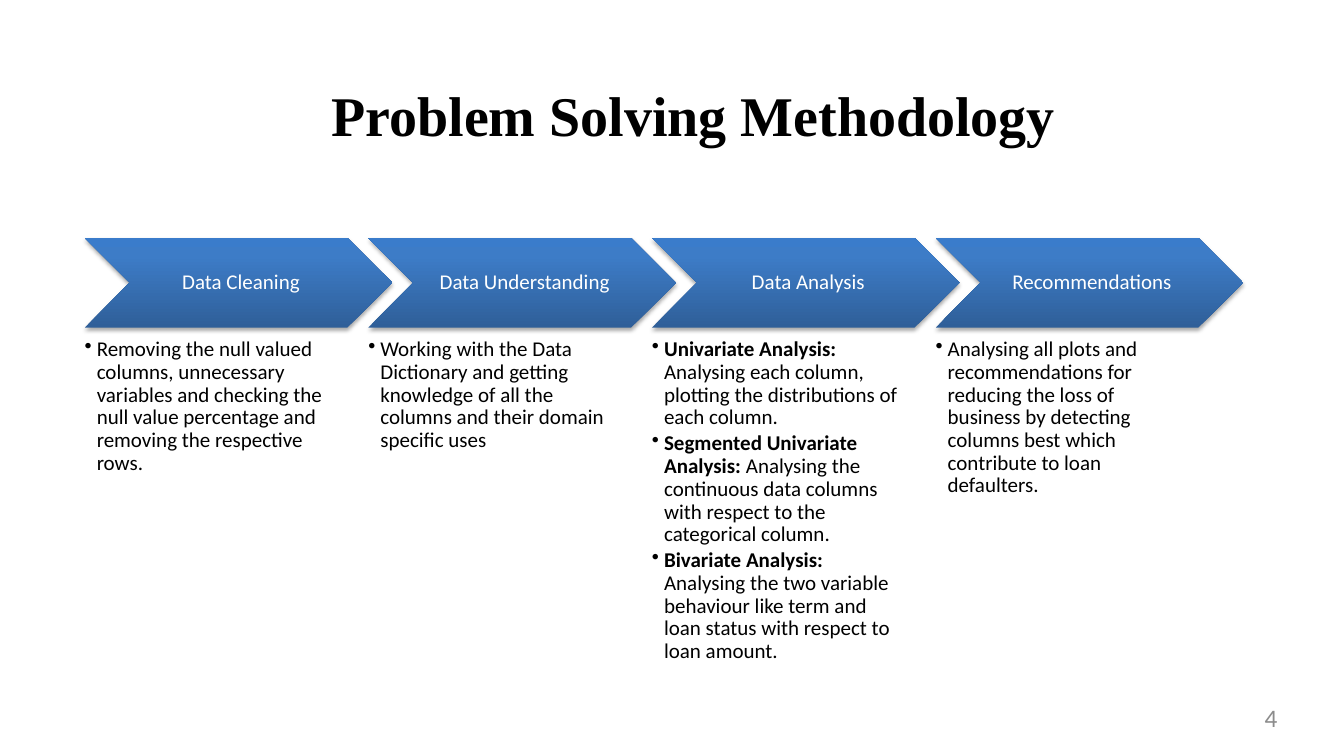
"""Build the problem solving methodology slide."""
from lxml import etree
from pptx import Presentation
from pptx import util as u
from pptx.dml.color import RGBColor
from pptx.enum import shapes, text
from pptx.oxml import ns

COLORS = {"black": "000000", "white": "FFFFFF", "number": "8C8C8C",
          "low": "2F5F99", "mid": "3D7CC7", "high": "3A7CCB"}
STEPS = [
    ("Data Cleaning", [("", "Removing the null valued columns, unnecessary variables and checking "
                            "the null value percentage and removing the respective rows.")]),
    ("Data Understanding", [("", "Working with the Data Dictionary and getting knowledge of all the "
                                 "columns and their domain specific uses")]),
    ("Data Analysis", [
        ("Univariate Analysis: ", "Analysing each column, plotting the distributions of each column."),
        ("Segmented Univariate Analysis: ", "Analysing the continuous data columns with respect to "
                                            "the categorical column."),
        ("Bivariate Analysis: ", "Analysing the two variable behaviour like term and loan status "
                                 "with respect to loan amount.")]),
    ("Recommendations", [("", "Analysing all plots and recommendations for reducing the loss of "
                              "business by detecting columns best which contribute to loan defaulters.")]),
]


def add_xml(parent, tag, **attrs):
    """Append a DrawingML element and return it."""
    return etree.SubElement(parent, ns.qn(tag), {k: str(v) for k, v in attrs.items()})


def set_frame(sp, insets=(0, 0, 0, 0), anchor=text.MSO_ANCHOR.TOP):
    """Set wrapping, insets and anchor, and return the text frame."""
    tf = sp.text_frame
    tf.word_wrap = True
    tf.auto_size = text.MSO_AUTO_SIZE.NONE
    tf.vertical_anchor = anchor
    tf.margin_left, tf.margin_top, tf.margin_right, tf.margin_bottom = map(u.Inches, insets)
    return tf


def add_run(p, words, size=15, color="black", font="Calibri", bold=False):
    """Add a formatted run to a paragraph."""
    r = p.add_run()
    r.text = words
    r.font.size = u.Pt(size)
    r.font.name = font
    r.font.bold = bold
    r.font.color.rgb = RGBColor.from_string(COLORS[color])


def add_title(slide, left, top, width, height):
    """Place and format the title placeholder."""
    sp = slide.shapes.title
    sp.left, sp.top, sp.width, sp.height = map(u.Inches, (left, top, width, height))
    p = set_frame(sp, (0, 0.01, 0, 0)).paragraphs[0]
    p.alignment = text.PP_ALIGN.CENTER
    add_run(p, "Problem Solving Methodology", size=40, font="Times New Roman", bold=True)


def add_chevron(slide, label, left, top, width, height):
    """Draw a labelled chevron with a gradient and a soft shadow."""
    sp = slide.shapes.add_shape(shapes.MSO_SHAPE.CHEVRON, *map(u.Inches, (left, top, width, height)))
    sp.fill.gradient()
    sp.fill.gradient_angle = 90
    sp.line.fill.background()
    sp.shadow.inherit = False
    spPr = sp.element.spPr
    stops = spPr.find(".//" + ns.qn("a:gsLst"))
    for stop in list(stops):
        stops.remove(stop)
    for pos, name in ((0, "low"), (80, "mid"), (100, "high")):
        add_xml(add_xml(stops, "a:gs", pos=pos * 1000), "a:srgbClr", val=COLORS[name])
    shadow = add_xml(spPr.find(ns.qn("a:effectLst")), "a:outerShdw", blurRad=u.Pt(3.1),
                     dist=u.Pt(1.8), dir=5400000, rotWithShape=0)
    add_xml(add_xml(shadow, "a:srgbClr", val=COLORS["black"]), "a:alpha", val=35000)
    p = set_frame(sp, (0.07, 0.02, 0.02, 0.02), text.MSO_ANCHOR.MIDDLE).paragraphs[0]
    p.alignment = text.PP_ALIGN.CENTER
    p.line_spacing = 0.9
    add_run(p, label, color="white")


def add_bullets(slide, items, left, top, width, height):
    """Write a bulleted list whose items may start with a bold lead."""
    tf = set_frame(slide.shapes.add_textbox(*map(u.Inches, (left, top, width, height))))
    for i, (lead, body) in enumerate(items):
        p = tf.add_paragraph() if i else tf.paragraphs[0]
        p.line_spacing = 0.9
        p.space_after = u.Pt(2.4)
        pPr = p._p.get_or_add_pPr()
        pPr.set("marL", str(u.Inches(0.12)))
        pPr.set("indent", str(-u.Inches(0.12)))
        add_xml(pPr, "a:buChar", char="•")
        if lead:
            add_run(p, lead, bold=True)
        add_run(p, body)


def add_process(slide, left, top, width, height):
    """Lay out the steps in equal columns across the box."""
    step_w, head_h, gap = 3.05, 0.89, 0.11
    pitch = (width - step_w) / (len(STEPS) - 1)
    body_y = top + head_h + gap
    for i, (label, items) in enumerate(STEPS):
        x = left + i * pitch
        add_chevron(slide, label, x, top, step_w, head_h)
        add_bullets(slide, items, x, body_y, 0.8 * step_w, top + height - body_y)


def add_number(slide, left, top, width, height):
    """Write the slide number at the right of the box."""
    sp = slide.shapes.add_textbox(*map(u.Inches, (left, top, width, height)))
    p = set_frame(sp).paragraphs[0]
    p.alignment = text.PP_ALIGN.RIGHT
    add_run(p, "4", size=18, color="number")


def main():
    """Assemble and save the presentation."""
    prs = Presentation()
    prs.slide_width, prs.slide_height = u.Inches(13.33), u.Inches(7.5)
    slide = prs.slides.add_slide(prs.slide_layouts[5])
    add_title(slide, 2.83, 0.79, 8.09, 0.69)
    add_process(slide, 0.84, 2.36, 11.49, 4.33)
    add_number(slide, 9.6, 6.97, 3.07, 0.38)
    prs.save("out.pptx")


main()
